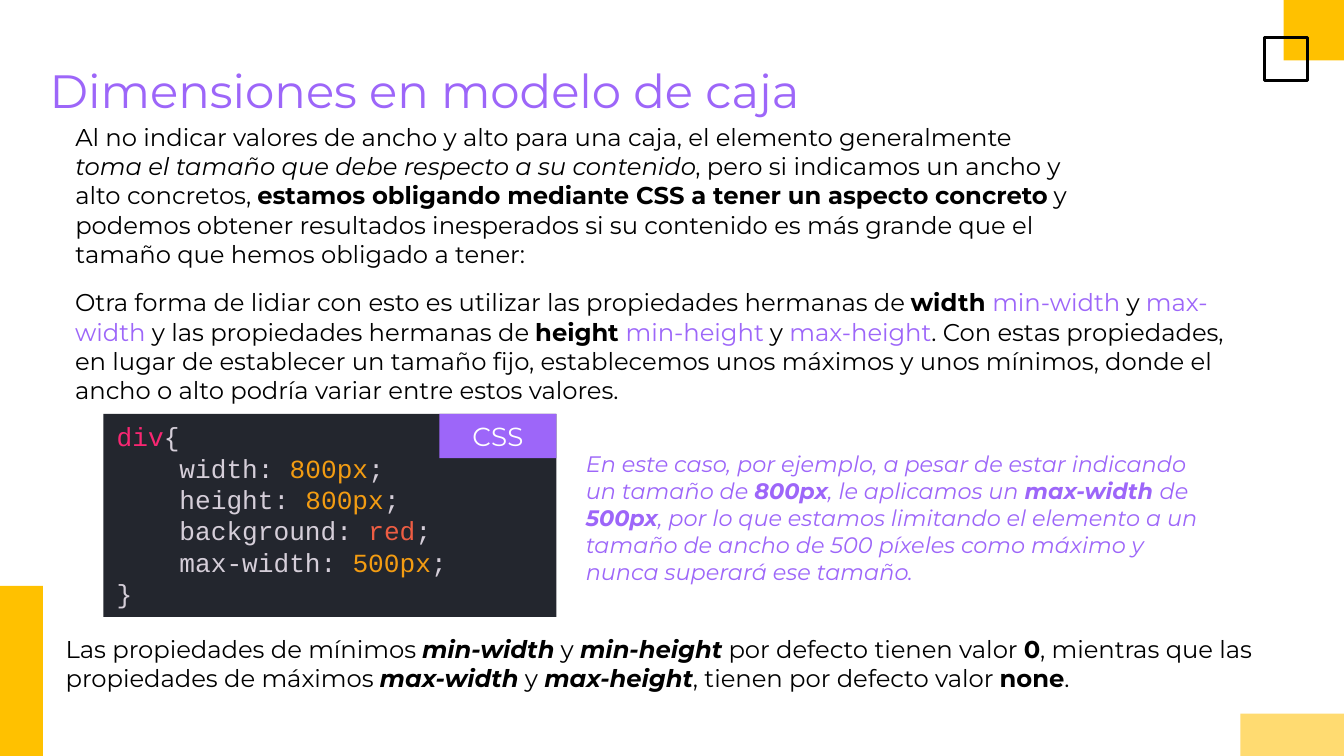
from lxml.etree import SubElement
from pptx import Presentation
from pptx.dml.color import RGBColor
from pptx.enum.shapes import MSO_SHAPE
from pptx.enum.text import MSO_ANCHOR, MSO_AUTO_SIZE, PP_ALIGN
from pptx.oxml.ns import qn
from pptx.util import Inches, Pt

WIDTH, HEIGHT = Inches(10), Inches(5.625)
COLUMNS, ROWS = 100, 56.25

BLACK = RGBColor(0x00, 0x00, 0x00)
WHITE = RGBColor(0xFF, 0xFF, 0xFF)
YELLOW = RGBColor(0xFF, 0xC1, 0x00)
PALE_YELLOW = RGBColor(0xFF, 0xDB, 0x71)
PURPLE = RGBColor(0x9D, 0x66, 0xF9)
CODE_BACK = RGBColor(0x23, 0x26, 0x2E)
CODE_TEXT = RGBColor(0xD5, 0xCE, 0xD9)
CODE_PINK = RGBColor(0xF9, 0x26, 0x72)
CODE_ORANGE = RGBColor(0xF3, 0x9C, 0x12)
CODE_RED = RGBColor(0xEE, 0x5D, 0x43)

BOLD = {"bold": True}
ITALIC = {"italic": True}
BOLD_ITALIC = {"bold": True, "italic": True}
ACCENT = {"color": PURPLE}

TITLE = {"name": "Montserrat", "size": Pt(25), "color": PURPLE}
BODY = {"name": "Montserrat", "size": Pt(13), "color": BLACK}
NOTE = {"name": "Montserrat", "size": Pt(12), "color": PURPLE, "italic": True}
LABEL = {"name": "Montserrat", "size": Pt(14), "color": WHITE}
CODE = {"name": "Courier New", "size": Pt(14), "color": CODE_TEXT}

INTRO = [
    ("Al no indicar valores de ancho y alto para una caja, el elemento generalmente ", {}),
    ("toma el tamaño que debe respecto a su contenido", ITALIC),
    (", pero si indicamos un ancho y alto concretos, ", {}),
    ("estamos obligando mediante CSS a tener un aspecto concreto", BOLD),
    (" y podemos obtener resultados inesperados si su contenido es más grande "
     "que el tamaño que hemos obligado a tener:", {}),
]
SISTERS = [
    ("Otra forma de lidiar con esto es utilizar las propiedades hermanas de ", {}),
    ("width ", BOLD),
    ("min-width", ACCENT),
    (" y ", {}),
    ("max-width", ACCENT),
    (" y las propiedades hermanas de ", {}),
    ("height ", BOLD),
    ("min-height", ACCENT),
    (" y ", {}),
    ("max-height", ACCENT),
    (". Con estas propiedades, en lugar de establecer un tamaño fijo, establecemos "
     "unos máximos y unos mínimos, donde el ancho o alto podría variar entre "
     "estos valores.", {}),
]
EXAMPLE = [
    ("En este caso, por ejemplo, a pesar de estar indicando un tamaño de ", {}),
    ("800px", BOLD),
    (", le aplicamos un ", {}),
    ("max-width ", BOLD),
    ("de ", {}),
    ("500px", BOLD),
    (", por lo que estamos limitando el elemento a un tamaño de ancho de 500 píxeles "
     "como máximo y nunca superará ese tamaño.", {}),
]
DEFAULTS = [
    ("Las propiedades de mínimos ", {}),
    ("min-width", BOLD_ITALIC),
    (" y ", {}),
    ("min-height", BOLD_ITALIC),
    (" por defecto tienen valor ", {}),
    ("0", BOLD),
    (", mientras que las propiedades de máximos ", {}),
    ("max-width", BOLD_ITALIC),
    (" y ", {}),
    ("max-height", BOLD_ITALIC),
    (", tienen por defecto valor ", {}),
    ("none", BOLD),
    (".", {}),
]
DECLARATIONS = [
    ("width", "800px", CODE_ORANGE),
    ("height", "800px", CODE_ORANGE),
    ("background", "red", CODE_RED),
    ("max-width", "500px", CODE_ORANGE),
]


def grid(left, top, width, height):
    column, row = WIDTH / COLUMNS, HEIGHT / ROWS
    return [round(n) for n in (left * column, top * row, width * column, height * row)]


def place(shape, cells):
    shape.left, shape.top, shape.width, shape.height = grid(*cells)


def add_rectangle(page, cells, fill=None, line=None):
    box = page.shapes.add_shape(MSO_SHAPE.RECTANGLE, *grid(*cells))
    box.shadow.inherit = False
    if fill is None:
        box.fill.background()
    else:
        box.fill.solid()
        box.fill.fore_color.rgb = fill
    if line is None:
        box.line.fill.background()
    else:
        box.line.color.rgb = line
        box.line.width = Pt(1.5)
    return box


def format_frame(shape, vertical_inset=0.1, anchor=MSO_ANCHOR.TOP):
    settings = {
        "word_wrap": True,
        "auto_size": MSO_AUTO_SIZE.NONE,
        "vertical_anchor": anchor,
        "margin_left": Inches(0.1),
        "margin_right": Inches(0.1),
        "margin_top": Inches(vertical_inset),
        "margin_bottom": Inches(vertical_inset),
    }
    for key, value in settings.items():
        setattr(shape.text_frame, key, value)


def write(para, spans, base, align=PP_ALIGN.LEFT):
    para.alignment = align
    para.space_before = Pt(0)
    for text, changes in spans:
        span = para.add_run()
        span.text = text
        for key, value in {**base, **changes}.items():
            if key == "color":
                span.font.color.rgb = value
            else:
                setattr(span.font, key, value)


def write_body(shape, spans, base):
    format_frame(shape)
    para = shape.text_frame.paragraphs[0]
    properties = para._p.get_or_add_pPr()
    properties.set("marL", str(Inches(0.12)))
    properties.set("indent", "0")
    SubElement(properties, qn("a:buNone"))
    para.space_after = Pt(6)
    write(para, spans, base)


def add_code(page, cells):
    box = add_rectangle(page, cells, CODE_BACK)
    format_frame(box, 0.05)
    lines = [[("div", {"color": CODE_PINK}), ("{", {})]]
    for name, value, color in DECLARATIONS:
        lines.append([(f"    {name}: ", {}), (value, {"color": color}), (";", {})])
    lines.append([("}", {})])
    frame = box.text_frame
    for index, spans in enumerate(lines):
        para = frame.add_paragraph() if index else frame.paragraphs[0]
        para.line_spacing = Pt(16.8)
        write(para, spans, CODE)


def add_label(page, cells, text):
    box = add_rectangle(page, cells, PURPLE)
    format_frame(box, anchor=MSO_ANCHOR.MIDDLE)
    write(box.text_frame.paragraphs[0], [(text, {})], LABEL, PP_ALIGN.CENTER)


def main():
    deck = Presentation()
    deck.slide_width, deck.slide_height = WIDTH, HEIGHT
    page = deck.slides.add_slide(deck.slide_layouts[1])

    add_rectangle(page, (95.5, 0, 4.5, 4.5), YELLOW)
    add_rectangle(page, (0, 43.6, 3.2, 12.65), YELLOW)
    add_rectangle(page, (94.1, 2.8, 3.2, 3.2), line=BLACK)
    add_rectangle(page, (92.3, 53.1, 7.7, 3.15), PALE_YELLOW)

    title, body = page.placeholders
    place(title, (2.7, 3.6, 94.7, 6.3))
    format_frame(title)
    write(title.text_frame.paragraphs[0], [("Dimensiones en modelo de caja", {})], TITLE)
    place(body, (3.4, 8.1, 77.4, 13.8))
    write_body(body, INTRO, BODY)

    add_code(page, (7.7, 30.8, 33.7, 15.1))
    add_label(page, (32.7, 30.8, 8.7, 3.3), "CSS")

    for cells, spans, base in (
        ((3.4, 20.4, 90.8, 12.1), SISTERS, BODY),
        ((41.4, 32.5, 49.8, 11.4), EXAMPLE, NOTE),
        ((2.7, 46.2, 93.9, 6.2), DEFAULTS, BODY),
    ):
        write_body(page.shapes.add_textbox(*grid(*cells)), spans, base)

    deck.save("out.pptx")


if __name__ == "__main__":
    main()
